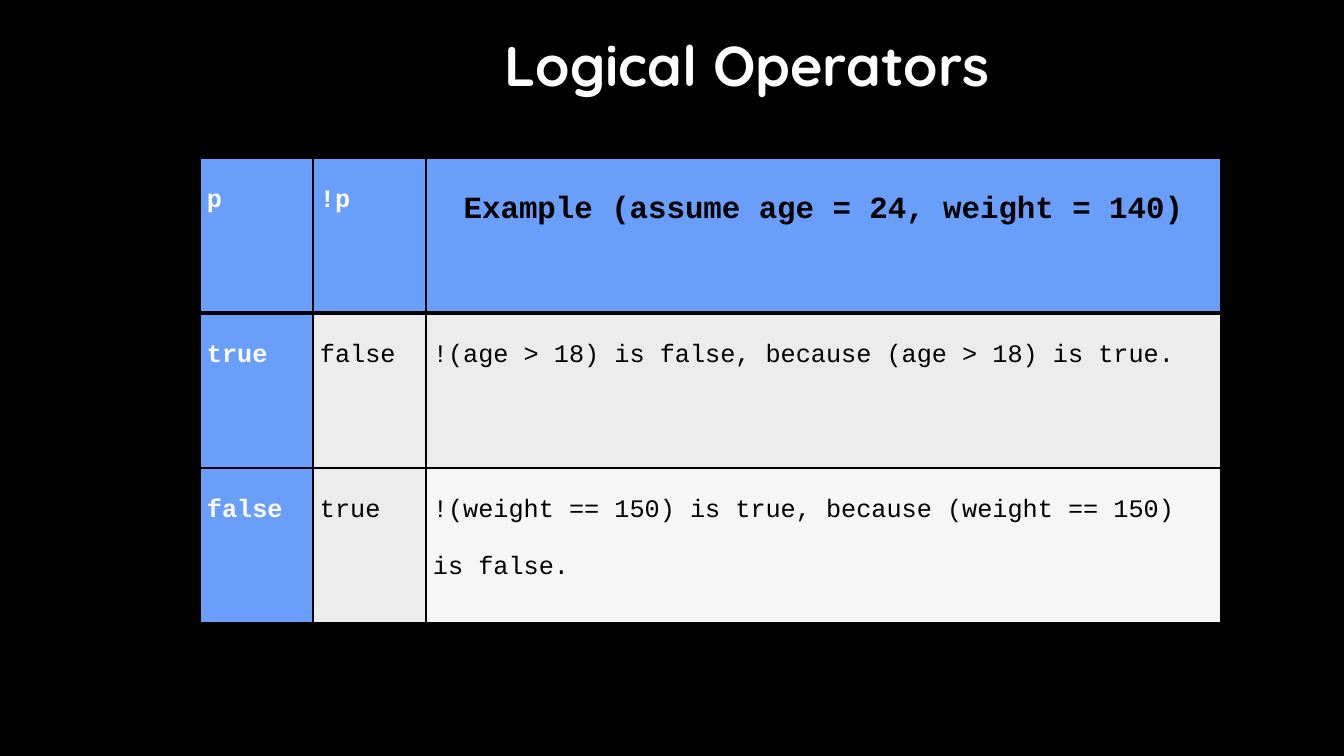
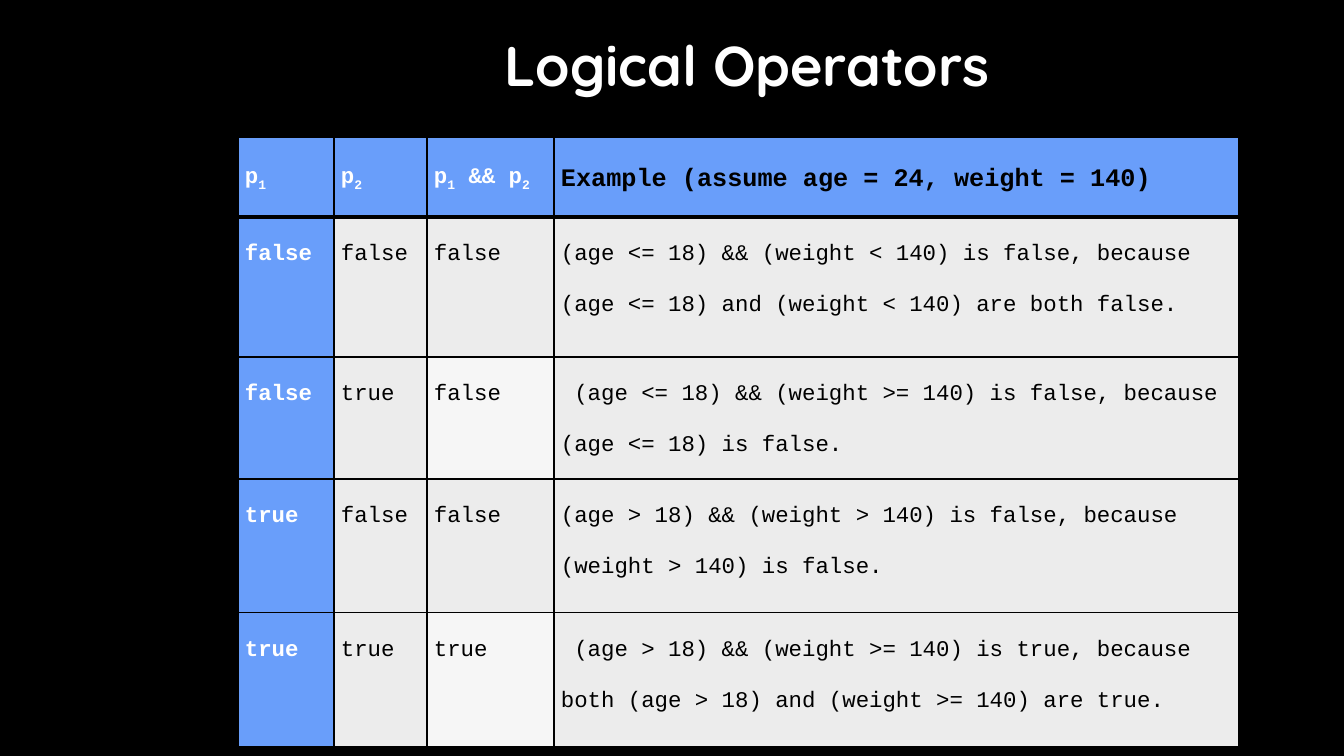
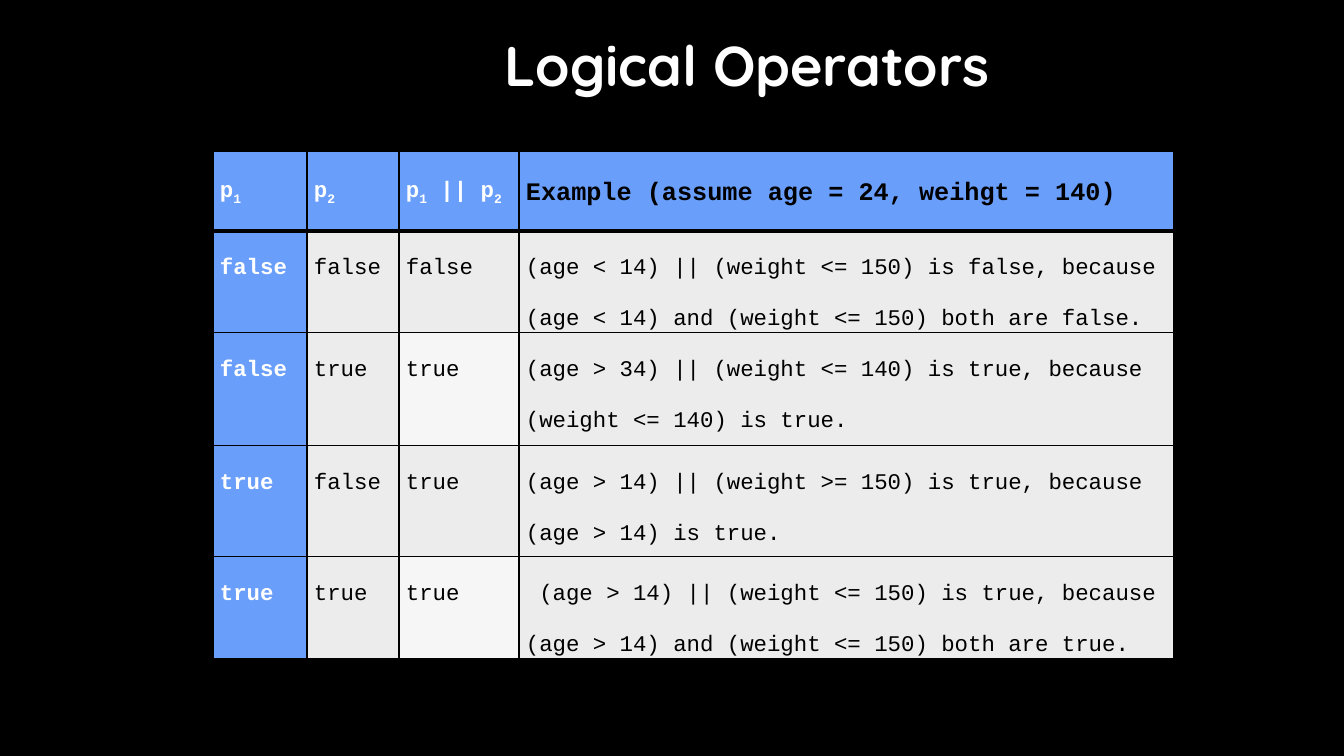
from pptx import Presentation
from pptx.dml.color import RGBColor
from pptx.enum.text import MSO_ANCHOR, MSO_AUTO_SIZE, PP_ALIGN
from pptx.oxml import parse_xml
from pptx.oxml.ns import nsdecls
from pptx.util import Emu, Pt

CENTER, LEFT = PP_ALIGN.CENTER, PP_ALIGN.LEFT
TOP = MSO_ANCHOR.TOP
NO_FIT = MSO_AUTO_SIZE.NONE
TITLE_ONLY = 5

PX_PER_INCH = 100.8
COLORS = {"black": "000000", "white": "FFFFFF", "header": "699EFA",
          "body": "ECECEC", "light": "F6F6F6"}
TITLE_FONT, CODE_FONT = "Quicksand", "Courier New"
THIN, THICK = 1, 3

# Each header cell is a tuple of parts; a part made of digits is a subscript
NOT_TABLE = [
    [("p",), ("!p",), ("Example (assume age = 24, weight = 140)",)],
    ["true", "false", "!(age > 18) is false, because (age > 18) is true."],
    ["false", "true",
     "!(weight == 150) is true, because (weight == 150) is false."],
]
AND_TABLE = [
    [("p", "1"), ("p", "2"), ("p", "1", " && p", "2"),
     ("Example (assume age = 24, weight = 140)",)],
    ["false", "false", "false",
     "(age <= 18) && (weight < 140) is false, because "
     "(age <= 18) and (weight < 140) are both false."],
    ["false", "true", "false",
     "\u00a0(age <= 18) && (weight >= 140) is false, because "
     "(age <= 18) is false."],
    ["true", "false", "false",
     "(age > 18) && (weight > 140) is false, because "
     "(weight > 140) is false."],
    ["true", "true", "true",
     "\u00a0(age > 18) && (weight >= 140) is true, because "
     "both (age > 18) and (weight >= 140) are true."],
]
OR_TABLE = [
    [("p", "1"), ("p", "2"), ("p", "1", " || p", "2"),
     ("Example (assume age = 24, weihgt = 140)",)],
    ["false", "false", "false",
     "(age < 14) || (weight <= 150) is false, because "
     "(age < 14) and (weight <= 150) both are false."],
    ["false", "true", "true",
     "(age > 34) || (weight <= 140) is true, because "
     "(weight <= 140) is true."],
    ["true", "false", "true",
     "(age > 14) || (weight >= 150) is true, because (age > 14) is true."],
    ["true", "true", "true",
     "\u00a0(age > 14) || (weight <= 150) is true, because "
     "(age > 14) and (weight <= 150) both are true."],
]


def px(n):
    return Emu(round(n * 914400 / PX_PER_INCH))


def rgb(name):
    return RGBColor.from_string(COLORS[name])


def add_run(p, text, font, size, color, bold):
    r = p.add_run()
    r.text = text
    r.font.name, r.font.size, r.font.bold = font, Pt(size), bold
    r.font.color.rgb = rgb(color)
    return r


def add_slide(prs, title):
    s = prs.slides.add_slide(prs.slide_layouts[TITLE_ONLY])
    sp = s.shapes.title
    sp.left, sp.top, sp.width, sp.height = px(213), px(38), px(1068), px(67)
    tf = sp.text_frame
    tf.word_wrap, tf.auto_size, tf.vertical_anchor = True, NO_FIT, TOP
    p = tf.paragraphs[0]
    p.alignment, p.line_spacing, p.space_before = CENTER, 0.8, Pt(10)
    add_run(p, title, TITLE_FONT, 40, "white", True)
    return s


def set_borders(cell, top, bottom):
    tcPr = cell._tc.get_or_add_tcPr()
    for side, width in (("L", THIN), ("R", THIN), ("T", top), ("B", bottom)):
        tcPr.append(parse_xml(
            f'<a:ln{side} {nsdecls("a")} w="{Pt(width)}"><a:solidFill>'
            f'<a:srgbClr val="{COLORS["black"]}"/></a:solidFill></a:ln{side}>'))


def cell_fill(row, col):
    if row == 0 or col == 0:
        return "header"
    return "light" if col == 2 and row % 2 == 0 else "body"


def add_truth_table(s, left, top, widths, heights, rows, size,
                    example_size, example_align=LEFT):
    frame = s.shapes.add_table(len(rows), len(widths), px(left), px(top),
                               px(sum(widths)), px(sum(heights)))
    table = frame.table
    table.first_col, table.horz_banding = True, False
    for column, width in zip(table.columns, widths):
        column.width = px(width)
    for line, height in zip(table.rows, heights):
        line.height = px(height)

    for i, row in enumerate(rows):
        for j, content in enumerate(row):
            cell = table.cell(i, j)
            set_borders(cell, THICK if i == 1 else THIN,
                        THICK if i == 0 else THIN)
            cell.fill.solid()
            cell.fill.fore_color.rgb = rgb(cell_fill(i, j))
            cell.margin_left = cell.margin_right = px(7)
            cell.margin_top = cell.margin_bottom = 0
            cell.vertical_anchor = TOP

            is_example_head = i == 0 and j == len(row) - 1
            bold = i == 0 or j == 0
            color = "white" if bold and not is_example_head else "black"
            p = cell.text_frame.paragraphs[0]
            p.line_spacing = 2.0
            p.alignment = example_align if is_example_head else LEFT
            for part in content if i == 0 else (content,):
                r = add_run(p, part, CODE_FONT,
                            example_size if is_example_head else size,
                            color, bold)
                if part.isdigit():
                    r._r.get_or_add_rPr().set("baseline", "-25000")


def main():
    prs = Presentation()
    prs.slide_width, prs.slide_height = px(1344), px(756)
    background = prs.slide_master.background.fill
    background.solid()
    background.fore_color.rgb = rgb("black")
    title = "Logical Operators"

    # Negation
    s = add_slide(prs, title)
    add_truth_table(s, 200, 158, [113, 113, 795], [155] * 3, NOT_TABLE,
                    18, 22, CENTER)

    # Conjunction
    s = add_slide(prs, title)
    add_truth_table(s, 238, 137, [96, 93, 127, 685],
                    [80, 140, 122, 134, 134], AND_TABLE, 16, 18)

    # Disjunction
    s = add_slide(prs, title)
    add_truth_table(s, 213, 151, [94, 92, 120, 655],
                    [80, 101, 113, 111, 102], OR_TABLE, 16, 18)

    prs.save("out.pptx")


main()
